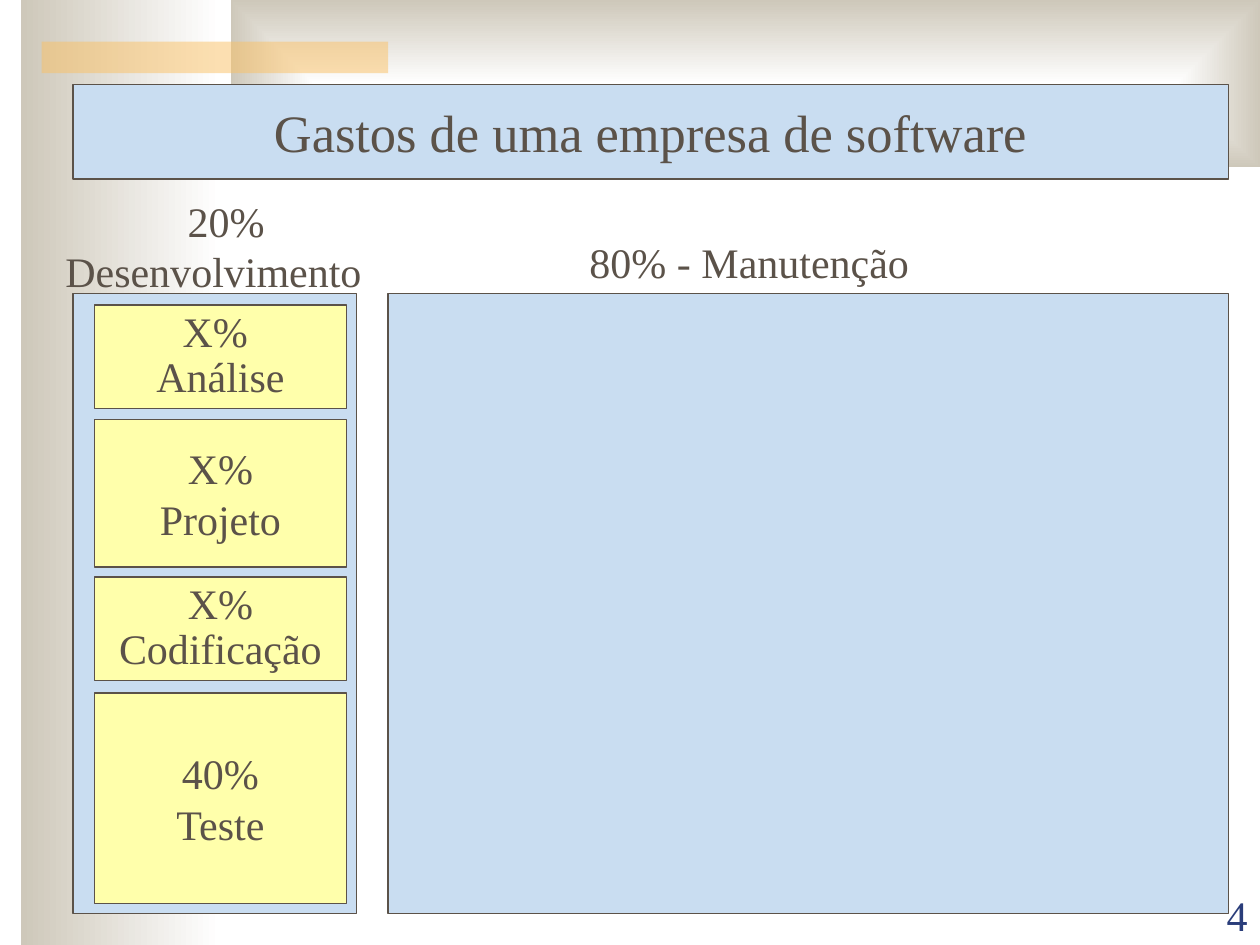
from lxml.etree import SubElement
from pptx import Presentation
from pptx.dml.color import RGBColor
from pptx.enum.shapes import MSO_SHAPE
from pptx.enum.text import MSO_ANCHOR, MSO_AUTO_SIZE, PP_ALIGN
from pptx.oxml.ns import qn
from pptx.util import Inches, Pt

BROWN, BLUE, YELLOW = "5B5249", "C9DDF1", "FFFFAB"
SAND, ORANGE, NAVY = "CEC8BA", "FAC164", "2A3D7A"
FONT = "Times New Roman"

TITLE = "Gastos de uma empresa de software"
PANELS = [(0.58, 2.25), (3.08, 6.67)]  # left, width
PANEL_TOP, PANEL_HEIGHT = 2.33, 4.92
LEFT, CENTER, RIGHT = PP_ALIGN.LEFT, PP_ALIGN.CENTER, PP_ALIGN.RIGHT
TOP, MIDDLE, BOTTOM = MSO_ANCHOR.TOP, MSO_ANCHOR.MIDDLE, MSO_ANCHOR.BOTTOM

# lines, top, height, anchor, line spacing
PHASES = [
    (["X% ", "Análise"], 2.42, 0.82, TOP, 0.9),
    (["X%", "Projeto"], 3.33, 1.17, MIDDLE, 1),
    (["X%", "Codificação"], 4.58, 0.82, TOP, 0.9),
    (["40%", "Teste"], 5.5, 1.67, MIDDLE, 1),
]

# lines, place, alignment of each line, anchor, colour
LABELS = [
    (["20%", "Desenvolvimento"], (0.42, 1.5, 2.75, 0.9), [CENTER, LEFT], TOP, BROWN),
    (["80% - Manutenção"], (4.58, 1.83, 3.58, 0.5), [LEFT], TOP, BROWN),
    (["4"], (9, 7.01, 1, 0.5), [RIGHT], BOTTOM, NAVY),
]


def color(hex_text):
    return RGBColor.from_string(hex_text)


def write(shape, lines, size=24, ink=BROWN, aligns=(CENTER, CENTER),
          anchor=MIDDLE, spacing=1):
    frame = shape.text_frame
    frame.word_wrap = True
    frame.auto_size = MSO_AUTO_SIZE.NONE
    frame.vertical_anchor = anchor
    frame.text = "\n".join(lines)
    for para, align in zip(frame.paragraphs, aligns):
        para.alignment = align
        para.line_spacing = spacing
        para.font.name = FONT
        para.font.size = Pt(size)
        para.font.color.rgb = color(ink)


def paint(shape, fill, line=BROWN):
    shape.fill.solid()
    shape.fill.fore_color.rgb = color(fill)
    if line:
        shape.line.color.rgb = color(line)
        shape.line.width = Pt(0.75)
    else:
        shape.line.fill.background()


def add_rectangle(page, place, fill, line=BROWN):
    box = page.shapes.add_shape(MSO_SHAPE.RECTANGLE, *map(Inches, place))
    box.shadow.inherit = False
    paint(box, fill, line)
    return box


def fade(box):
    """Fill the box with a gradient from white to sand."""
    box.fill.gradient()
    box.fill.gradient_angle = 180
    for stop, shade in zip(box.fill.gradient_stops, ("FFFFFF", SAND)):
        stop.color.rgb = color(shade)


def fade_from_center(box):
    fade(box)
    gradient = box.element.spPr.find(qn("a:gradFill"))
    gradient.remove(gradient.find(qn("a:lin")))
    frame = SubElement(gradient, qn("a:path"), {"path": "rect"})
    SubElement(frame, qn("a:fillToRect"), dict.fromkeys("ltrb", "50000"))


def add_backdrop(page):
    side = add_rectangle(page, (0.17, 0, 1.58, 7.5), SAND, None)
    fade(side)
    header = add_rectangle(page, (1.83, 0, 8.17, 1.33), SAND, None)
    fade_from_center(header)
    strip = add_rectangle(page, (0.33, 0.33, 2.75, 0.25), ORANGE, None)
    tint = strip.element.spPr.find(qn("a:solidFill"))[0]
    SubElement(tint, qn("a:alpha"), val="50000")
    for part in (side, header, strip):
        page.shapes.title.element.addprevious(part.element)


def main():
    deck = Presentation()
    deck.slide_width, deck.slide_height = Inches(10), Inches(7.5)
    page = deck.slides.add_slide(deck.slide_layouts[5])
    add_backdrop(page)

    title = page.shapes.title
    title.left, title.top, title.width, title.height = map(
        Inches, (0.58, 0.67, 9.17, 0.75))
    paint(title, BLUE)
    write(title, [TITLE], size=30)

    for left, width in PANELS:
        add_rectangle(page, (left, PANEL_TOP, width, PANEL_HEIGHT), BLUE)

    for lines, place, aligns, anchor, ink in LABELS:
        label = page.shapes.add_textbox(*map(Inches, place))
        write(label, lines, aligns=aligns, anchor=anchor, ink=ink)

    for lines, top, height, anchor, spacing in PHASES:
        box = add_rectangle(page, (0.75, top, 2, height), YELLOW)
        write(box, lines, anchor=anchor, spacing=spacing)

    deck.save("out.pptx")


if __name__ == "__main__":
    main()
